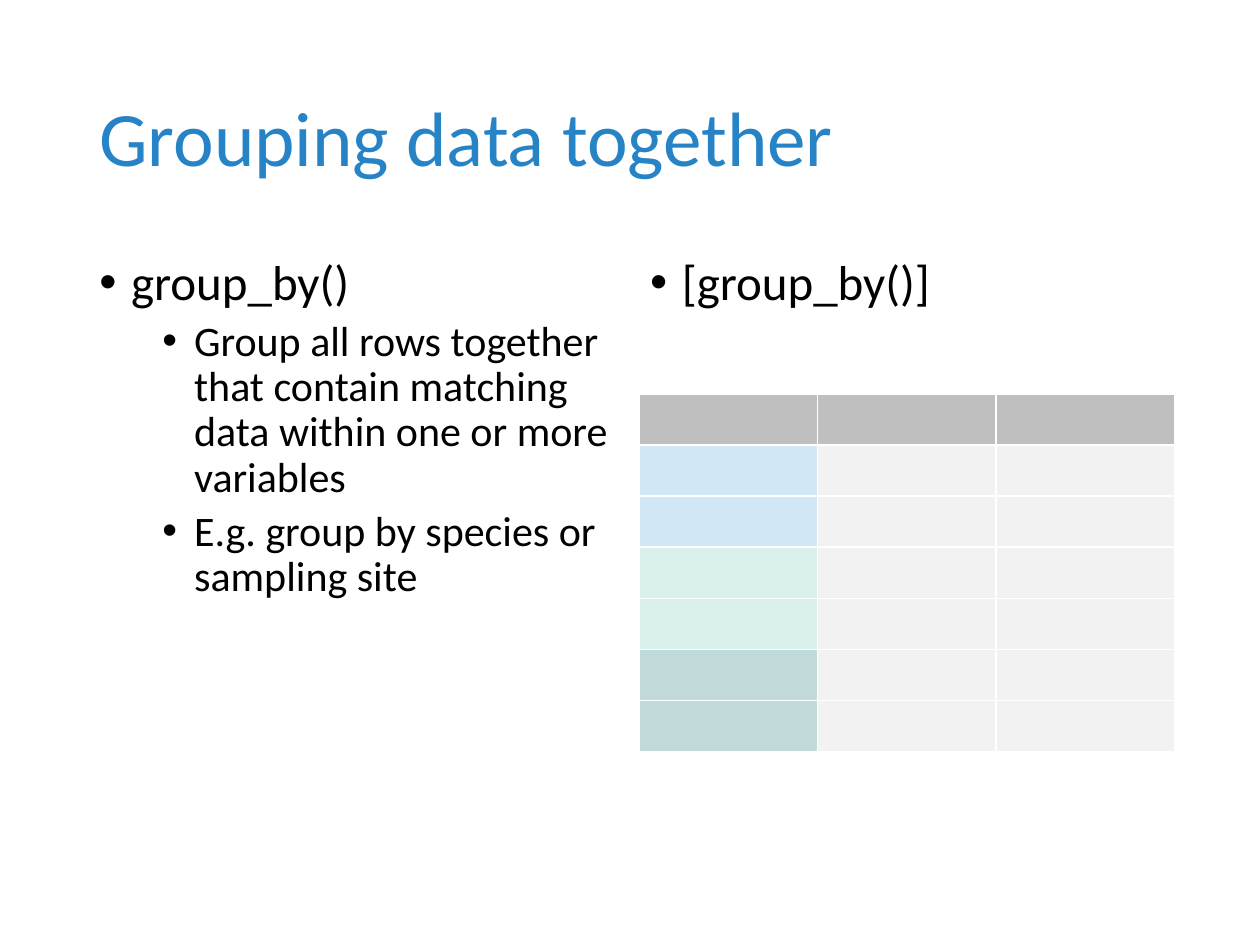
"""Build a slide that explains grouping rows of data with group_by()."""
from dataclasses import dataclass

from lxml import etree
from pptx import Presentation
from pptx.dml.color import RGBColor
from pptx.enum.text import MSO_ANCHOR, MSO_AUTO_SIZE, PP_ALIGN
from pptx.oxml.ns import qn
from pptx.slide import Slide
from pptx.util import Cm, Pt

LEFT = PP_ALIGN.LEFT
TOP, MIDDLE = MSO_ANCHOR.TOP, MSO_ANCHOR.MIDDLE
NO_FIT = MSO_AUTO_SIZE.NONE
TWO_CONTENT = 3


@dataclass(frozen=True)
class Theme:
    font: str = "Calibri"
    title: str = "2683C6"
    text: str = "000000"
    header: str = "BFBFBF"
    cell: str = "F2F2F2"
    groups: tuple[str, ...] = ("D1E7F6", "D9F1EA", "C0DAD9")
    title_size: int = 44
    level_sizes: tuple[int, ...] = (28, 24)
    level_indents: tuple[float, ...] = (0.64, 1.91)
    level_gaps: tuple[int, ...] = (10, 5)
    hanging: float = 0.64
    line_spacing: float = 0.9


@dataclass(frozen=True)
class Box:
    left: float
    top: float
    width: float
    height: float

    def lengths(self) -> tuple[Cm, Cm, Cm, Cm]:
        return Cm(self.left), Cm(self.top), Cm(self.width), Cm(self.height)


@dataclass(frozen=True)
class Item:
    text: str
    level: int = 0


THEME = Theme()
TITLE_BOX = Box(1.75, 1.02, 21.9, 3.68)
LEFT_BOX = Box(1.75, 5.08, 10.8, 12.09)
RIGHT_BOX = Box(12.85, 5.08, 10.8, 12.09)
TABLE_BOX = Box(12.88, 7.94, 10.8, 7.21)
COLUMNS = 3
ROWS_PER_GROUP = 2


def place(sp, box: Box, anchor):
    """Move a placeholder to its box and return its text frame."""
    sp.left, sp.top, sp.width, sp.height = box.lengths()
    tf = sp.text_frame
    tf.word_wrap = True
    tf.auto_size = NO_FIT
    tf.vertical_anchor = anchor
    return tf


def style(p, size: int, color: str) -> None:
    """Format a paragraph and its runs."""
    p.alignment = LEFT
    p.line_spacing = THEME.line_spacing
    for r in p.runs:
        r.font.name = THEME.font
        r.font.size = Pt(size)
        r.font.color.rgb = RGBColor.from_string(color)


def add_title(s: Slide, text: str) -> None:
    """Fill the title placeholder."""
    tf = place(s.shapes.title, TITLE_BOX, MIDDLE)
    tf.text = text
    style(tf.paragraphs[0], THEME.title_size, THEME.title)


def add_list(s: Slide, idx: int, box: Box, items: list[Item]) -> None:
    """Fill a content placeholder with a bulleted list."""
    tf = place(s.placeholders[idx], box, TOP)
    for i, item in enumerate(items):
        p = tf.add_paragraph() if i else tf.paragraphs[0]
        p.text = item.text
        p.level = item.level
        pPr = p._p.get_or_add_pPr()
        pPr.set("marL", str(Cm(THEME.level_indents[item.level])))
        pPr.set("indent", str(-Cm(THEME.hanging)))
        etree.SubElement(pPr, qn("a:buFont")).set("typeface", "Arial")
        etree.SubElement(pPr, qn("a:buChar")).set("char", "•")
        p.space_before = Pt(THEME.level_gaps[item.level] if i else 0)
        style(p, THEME.level_sizes[item.level], THEME.text)


def add_grouped_table(s: Slide, box: Box) -> None:
    """Draw an empty table whose first column is coloured by group."""
    keys = [color for color in THEME.groups for _ in range(ROWS_PER_GROUP)]
    fills = [[THEME.header] * COLUMNS]
    fills += [[key] + [THEME.cell] * (COLUMNS - 1) for key in keys]
    table = s.shapes.add_table(len(fills), COLUMNS, *box.lengths()).table
    for row, colors in zip(table.rows, fills):
        for cell, color in zip(row.cells, colors):
            cell.fill.solid()
            cell.fill.fore_color.rgb = RGBColor.from_string(color)


def main() -> None:
    """Build and save the slide."""
    prs = Presentation()
    prs.slide_width, prs.slide_height = Cm(25.4), Cm(19.05)
    s = prs.slides.add_slide(prs.slide_layouts[TWO_CONTENT])
    add_title(s, "Grouping data together")
    add_list(s, 1, LEFT_BOX, [
        Item("group_by()"),
        Item("Group all rows together that contain matching data "
             "within one or more variables", 1),
        Item("E.g. group by species or sampling site", 1),
    ])
    add_list(s, 2, RIGHT_BOX, [Item("[group_by()]")])
    add_grouped_table(s, TABLE_BOX)
    prs.save("out.pptx")


if __name__ == "__main__":
    main()
